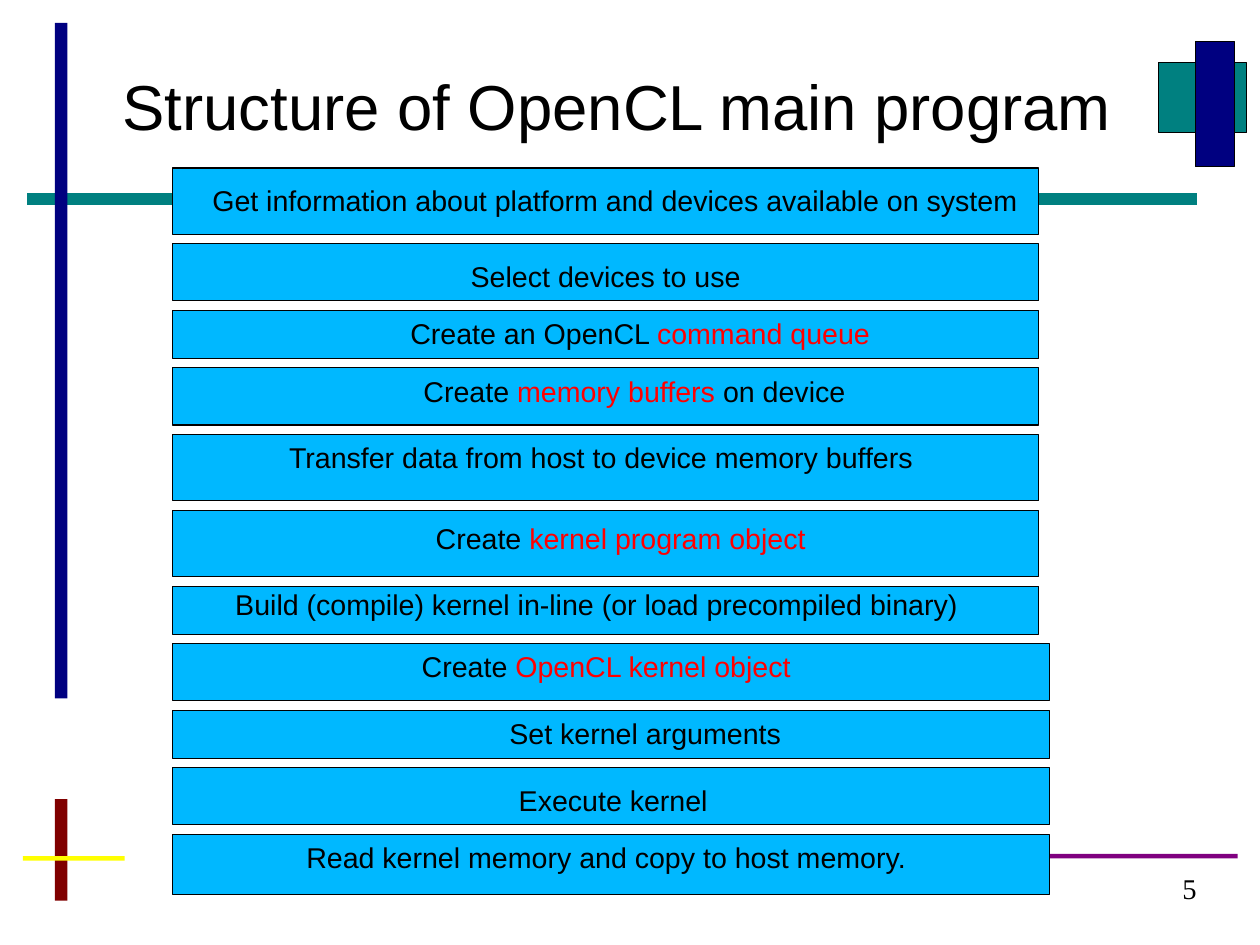
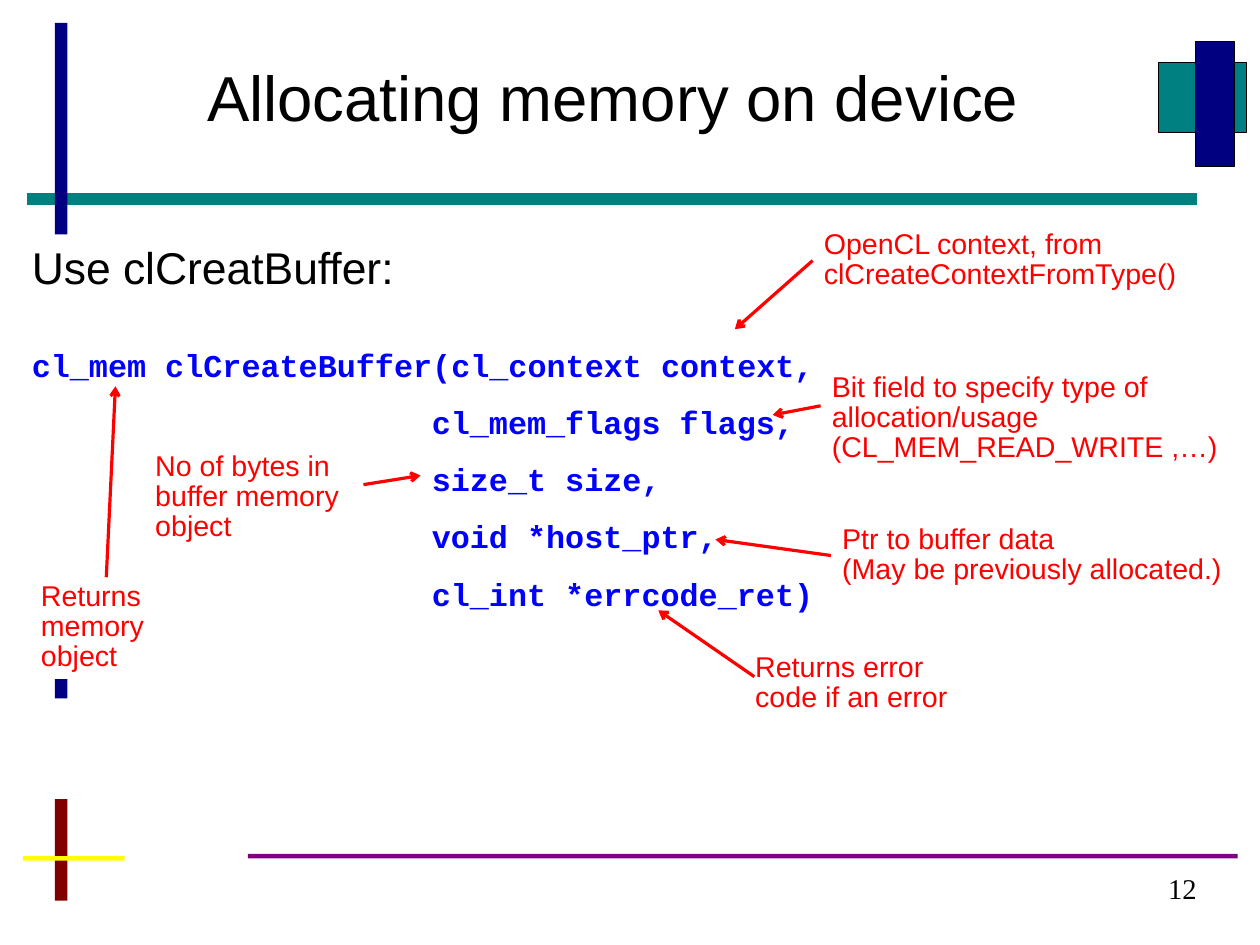
from dataclasses import dataclass

from pptx import Presentation
from pptx.dml.color import RGBColor
from pptx.enum.shapes import MSO_CONNECTOR, MSO_SHAPE
from pptx.enum.text import MSO_ANCHOR, PP_ALIGN
from pptx.oxml.ns import qn
from pptx.oxml.xmlchemy import OxmlElement
from pptx.util import Inches, Pt


@dataclass(frozen=True)
class Theme:
    """Colours, fonts and type sizes shared by the deck."""

    black: str = "000000"
    white: str = "FFFFFF"
    teal: str = "008080"
    navy: str = "000080"
    maroon: str = "800000"
    yellow: str = "FFFF00"
    purple: str = "800080"
    sky: str = "00B8FF"
    red: str = "FF0000"
    blue: str = "0000FF"
    sans: str = "Arial"
    serif: str = "Times New Roman"
    mono: str = "Courier New"
    title: int = 40
    lead: int = 28
    code: int = 20
    body: int = 18
    tight: float = 0.87
    gap_before_code: int = 21


@dataclass(frozen=True)
class Step:
    """A step bar: text with *emphasis*, height, centre shift, drop and spacing."""

    text: str
    height: float
    shift: float
    drop: float = 0
    spacing: float = 1.0
    width: float = 7.58


@dataclass(frozen=True)
class Note:
    """A red remark with its box, arrow start and arrow tip."""

    text: str
    box: tuple
    start: tuple
    tip: tuple
    side: int | None = None
    fill: str | None = None


THEME = Theme()
POINTS_PER_INCH = 72
PAGE_WIDTH = 793.75 / POINTS_PER_INCH
PAGE_HEIGHT = 595.25 / POINTS_PER_INCH
WIDE = 7.67

STEPS = [
    Step("Get information about platform and devices available on system", 0.58, 0.08, 0.08),
    Step("Select devices to use", 0.5, 0, 0.08),
    Step("Create an OpenCL *command queue*", 0.42, 0.3),
    Step("Create *memory buffers* on device", 0.5, 0.25),
    Step("Transfer data from host to device memory buffers", 0.58, -0.04),
    Step("Create *kernel program object*", 0.58, 0.13, 0.08, THEME.tight),
    Step("Build (compile) kernel in-line (or load precompiled binary)", 0.42, -0.08, 0, THEME.tight),
    Step("Create *OpenCL kernel object*", 0.5, -0.04, width=WIDE),
    Step("Set kernel arguments", 0.42, 0.3, width=WIDE),
    Step("Execute kernel", 0.5, 0.02, 0.08, width=WIDE),
    Step("Read kernel memory and copy to host memory.", 0.53, -0.04, width=WIDE),
]

SIGNATURE = "cl_mem clCreateBuffer(cl_context context,"
ARGUMENTS = ["cl_mem_flags flags,", "size_t size,", "void *host_ptr,", "cl_int *errcode_ret)"]

NOTES = [
    Note("OpenCL context, from clCreateContextFromType()",
         (7.11, 1.97, 3.92, 0.62), (7.11, 2.28), (6.43, 2.88), side=1),
    Note("Bit field to specify type of allocation/usage (CL_MEM_READ_WRITE ,…)",
         (7.18, 3.22, 4.25, 0.89), (7.18, 3.55), (6.76, 3.63)),
    Note("No of bytes in buffer memory object",
         (1.26, 3.91, 2.25, 0.89), (3.18, 4.24), (3.68, 4.16)),
    Note("Returns error code if an error",
         (6.51, 5.67, 2, 0.62), (6.6, 5.92), (5.76, 5.34)),
    Note("Ptr to buffer data\n(May be previously allocated.)",
         (7.27, 4.55, 3.75, 0.62), (7.27, 4.86), (6.26, 4.72), side=1),
    Note("Returns memory object",
         (0.26, 5.05, 1.67, 0.89), (0.93, 5.05), (1.01, 3.38), fill=THEME.white),
]


def style(font, size, color=THEME.black, name=THEME.sans, bold=False):
    """Apply size, colour and typeface to a font."""
    font.size = Pt(size)
    font.name = name
    font.bold = bold
    font.color.rgb = RGBColor.from_string(color)


def add_block(page, box, fill, outlined=False):
    """Add a flat rectangle with top-anchored, wrapping text."""
    block = page.shapes.add_shape(MSO_SHAPE.RECTANGLE, *map(Inches, box))
    block.shadow.inherit = False
    block.fill.solid()
    block.fill.fore_color.rgb = RGBColor.from_string(fill)
    if outlined:
        block.line.color.rgb = RGBColor.from_string(THEME.black)
        block.line.width = Pt(0.75)
    else:
        block.line.fill.background()
    block.text_frame.word_wrap = True
    block.text_frame.vertical_anchor = MSO_ANCHOR.TOP
    return block


def add_text(page, box, text, size, align=PP_ALIGN.LEFT, spacing=THEME.tight,
             color=THEME.black, name=THEME.sans, fill=None):
    """Add a text box, or a filled block, with uniformly styled paragraphs."""
    if fill:
        holder = add_block(page, box, fill)
    else:
        holder = page.shapes.add_textbox(*map(Inches, box))
    frame = holder.text_frame
    frame.word_wrap = True
    frame.text = text
    for para in frame.paragraphs:
        para.alignment = align
        para.line_spacing = spacing
        for span in para.runs:
            style(span.font, size, color, name)
    return holder


def add_line(page, start, end, color, width, arrow=False):
    """Add a straight line, with an open arrowhead at its end if asked."""
    line = page.shapes.add_connector(MSO_CONNECTOR.STRAIGHT, *map(Inches, (*start, *end)))
    line.line.color.rgb = RGBColor.from_string(color)
    line.line.width = Pt(width)
    properties = line._element.spPr
    if arrow:
        head = OxmlElement("a:tailEnd")
        head.set("type", "arrow")
        properties.find(qn("a:ln")).append(head)
    properties.append(OxmlElement("a:effectLst"))
    return line


def add_frame(deck, title, title_box, number):
    """Add a page with the shared bars, a title and a page number."""
    page = deck.slides.add_slide(deck.slide_layouts[6])
    add_line(page, (0.24, 1.74), (10.47, 1.74), THEME.teal, 7.2)
    add_block(page, (10.14, 0.55, 0.77, 0.61), THEME.teal, outlined=True)
    add_block(page, (10.46, 0.36, 0.34, 1.1), THEME.navy, outlined=True)
    for box, color in [
        ((0.48, 0.2, 0.11, 5.91), THEME.navy),
        ((0.48, 6.99, 0.11, 0.89), THEME.maroon),
        ((0.2, 7.49, 0.89, 0.04), THEME.yellow),
        ((2.17, 7.47, 8.66, 0.04), THEME.purple),
    ]:
        add_block(page, box, color)
    folio = add_text(page, (8.76, 7.65, 1.71, 0.45), str(number), THEME.body,
                     PP_ALIGN.RIGHT, 0.93, name=THEME.serif).text_frame
    folio.margin_left = folio.margin_right = folio.margin_top = folio.margin_bottom = 0
    add_text(page, title_box, title, THEME.title, PP_ALIGN.CENTER)
    return page


def add_step(page, left, top, step):
    """Add one step bar, shifting its text with the side margins."""
    block = add_block(page, (left, top, step.width, step.height), THEME.sky, outlined=True)
    frame = block.text_frame
    frame.margin_left = Inches(0.1 + 2 * max(step.shift, 0))
    frame.margin_right = Inches(0.1 + 2 * max(-step.shift, 0))
    frame.margin_top = Inches(0.05 + step.drop)
    frame.margin_bottom = 0
    para = frame.paragraphs[0]
    para.alignment = PP_ALIGN.CENTER
    para.line_spacing = step.spacing
    for index, piece in enumerate(step.text.split("*")):
        if piece:
            span = para.add_run()
            span.text = piece
            style(span.font, THEME.body, THEME.red if index % 2 else THEME.black)


def add_steps(page, left, top, height):
    """Stack the step bars with equal gaps over the given height."""
    gap = (height - sum(step.height for step in STEPS)) / (len(STEPS) - 1)
    for step in STEPS:
        add_step(page, left, top, step)
        top += step.height + gap


def add_code(page, box):
    """Add the white panel with the lead line and the function signature."""
    frame = add_block(page, box, THEME.white).text_frame
    frame.text = "\n".join(["Use clCreatBuffer:", SIGNATURE, *ARGUMENTS])
    lead, signature, *arguments = frame.paragraphs
    style(lead.runs[0].font, THEME.lead)
    for para in (signature, *arguments):
        para.line_spacing = 1.5
        style(para.runs[0].font, THEME.code, THEME.blue, THEME.mono, bold=True)
    signature.space_before = Pt(THEME.gap_before_code)
    for para in frame.paragraphs:
        para.alignment = PP_ALIGN.LEFT
    for para in arguments:
        para._p.get_or_add_pPr().set("marL", str(Inches(3.5)))


def add_note(page, note):
    """Add a remark and the arrow to the code it explains."""
    remark = add_text(page, note.box, note.text, THEME.body, color=THEME.red, fill=note.fill)
    arrow = add_line(page, note.start, note.tip, THEME.red, 2, arrow=True)
    if note.side is not None:
        arrow.begin_connect(remark, note.side)


def build_structure(deck):
    """Build the page that lists the steps of a main program."""
    page = add_frame(deck, "Structure of OpenCL main program", (0.86, 0.63, 9.07, 0.68), 5)
    add_steps(page, 1.51, 1.47, 6.36)


def build_allocation(deck):
    """Build the page that explains the buffer call."""
    page = add_frame(deck, "Allocating memory on device", (1.61, 0.55, 7.5, 0.68), 12)
    add_code(page, (0.18, 2.05, 10.6, 3.37))
    for note in NOTES:
        add_note(page, note)


def main():
    """Build and save the deck."""
    deck = Presentation()
    deck.slide_width = Inches(PAGE_WIDTH)
    deck.slide_height = Inches(PAGE_HEIGHT)
    build_structure(deck)
    build_allocation(deck)
    deck.save("out.pptx")


if __name__ == "__main__":
    main()
